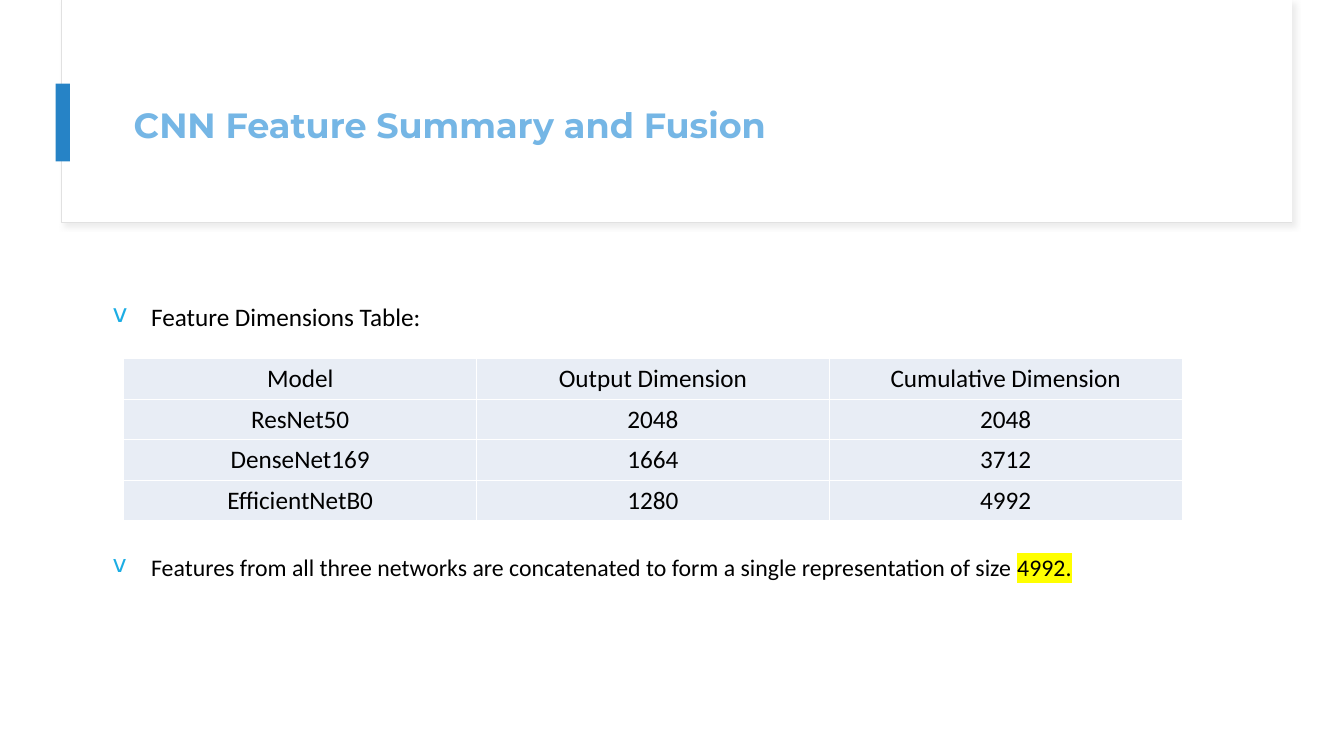
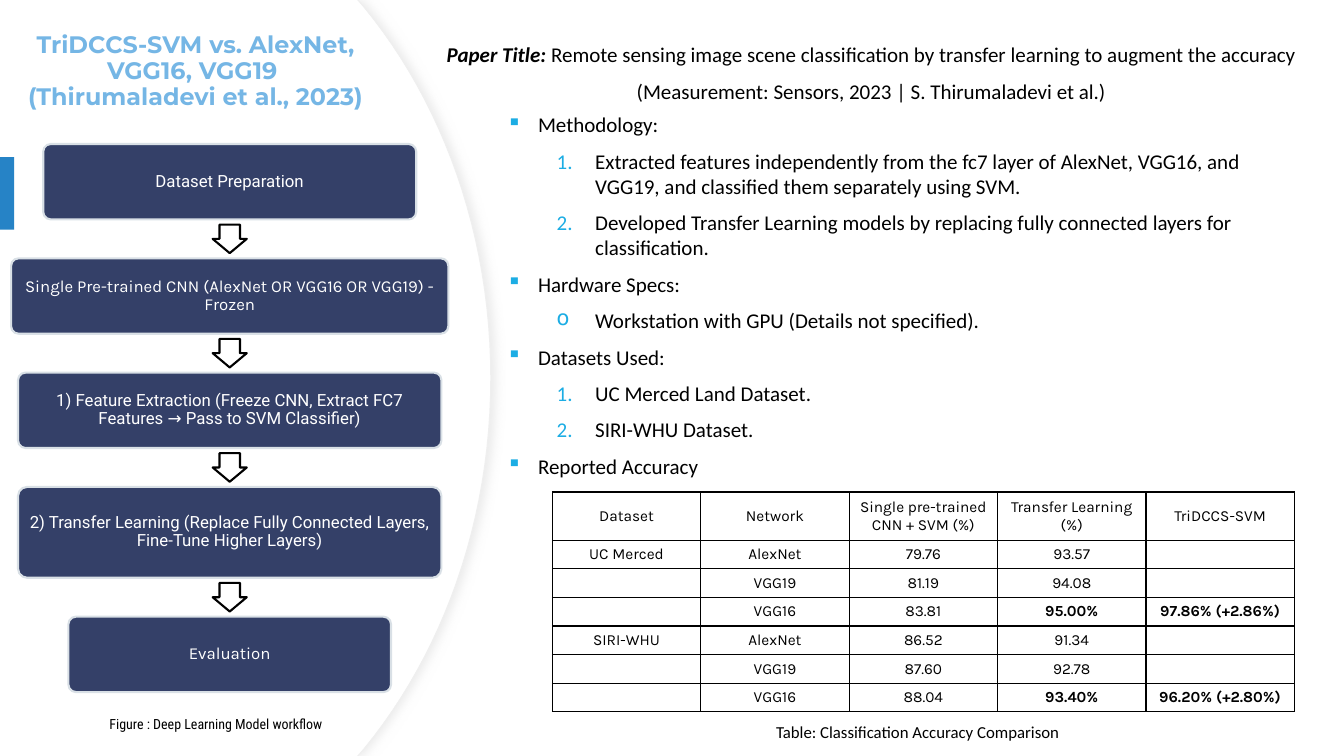
from lxml import etree
from pptx import Presentation
from pptx import util as u
from pptx.dml.color import RGBColor
from pptx.enum import shapes, text
from pptx.oxml.ns import qn

Cm, Pt = u.Cm, u.Pt
HUES = {"white": "FFFFFF", "black": "000000", "title": "75B6E5", "bar": "2683C6",
        "mark": "1CADE4", "cell": "E8EDF5", "navy": "344068", "rim": "D9E0E6",
        "frame": "E1E1E1", "curve": "EFEFEF", "shade": "D9D9D9", "glow": "FFFF00"}
TALL = 19.05
MID, LEFT = text.PP_ALIGN.CENTER, text.PP_ALIGN.LEFT
CORE, TOP = text.MSO_ANCHOR.MIDDLE, text.MSO_ANCHOR.TOP
KIND = shapes.MSO_SHAPE


def say(para, runs, size, face, hue="black"):
    for words, style in runs:
        run = para.add_run()
        run.text = words
        font = run.font
        font.size = Pt(size)
        font.color.rgb = RGBColor.from_string(HUES[hue])
        font.name = face
        font.bold = "b" in style
        font.italic = "i" in style
        if "h" in style:
            glow = etree.Element(qn("a:highlight"))
            etree.SubElement(glow, qn("a:srgbClr"), val=HUES["glow"])
            run._r.rPr.find(qn("a:solidFill")).addnext(glow)


def dress(shape, fill, line=None, width=0.75, shade=None):
    shape.shadow.inherit = False
    shape.fill.solid()
    shape.fill.fore_color.rgb = RGBColor.from_string(HUES[fill])
    if line:
        shape.line.color.rgb = RGBColor.from_string(HUES[line])
        shape.line.width = Pt(width)
    else:
        shape.line.fill.background()
    if shade:
        blur, dist, turn = shade
        outer = etree.SubElement(shape._element.spPr.find(qn("a:effectLst")), qn("a:outerShdw"),
                                 blurRad=str(Pt(blur)), dist=str(Pt(dist)), dir=str(turn * 60000))
        tint = etree.SubElement(outer, qn("a:srgbClr"), val=HUES["shade"])
        etree.SubElement(tint, qn("a:alpha"), val="50000")


deck = Presentation()
deck.slide_width, deck.slide_height = Cm(33.87), Cm(TALL)
fuse, duel = [deck.slides.add_slide(deck.slide_layouts[6]) for _ in range(2)]

for spot, style in [((1.55, 0, 31.01, 5.61), ("white", "frame", 0.75, (4, 3, 45))),
                    ((1.57, 0, 30.99, 5.59), ("white",))]:
    dress(fuse.shapes.add_shape(KIND.RECTANGLE, *map(Cm, spot)), *style)

knots = [(9.19, 0.2), (11.15, 2.59), (12.37, 5.89), (12.37, 9.53)]
arc = []
for step in range(25):
    t = step / 24
    parts = ((1 - t) ** 3, 3 * t * (1 - t) ** 2, 3 * t * t * (1 - t), t ** 3)
    arc.append(tuple(sum(p * k[axis] for p, k in zip(parts, knots)) for axis in (0, 1)))
edge = [(9.02, 0)] + arc
edge += [(x, TALL - y) for x, y in reversed(edge)] + [(0, TALL)]
for trim, style in [(0, ("white", "curve", 0.75, (7, 3, 0))), (0.03, ("white",))]:
    path = duel.shapes.build_freeform(0, 0, scale=1.0)
    path.add_line_segments([(Cm(max(x - trim, 0)), Cm(y)) for x, y in edge], close=True)
    dress(path.convert_to_shape(), *style)

for slide, spot in [(fuse, (1.4, 2.11, 0.36, 1.96)), (duel, (0, 3.96, 0.36, 1.83))]:
    dress(slide.shapes.add_shape(KIND.RECTANGLE, *map(Cm, spot)), "bar")

flow = [
    (9.4, 1.9, "Roboto", "Dataset Preparation"),
    (11.02, 1.9, "Karla", "Single Pre-trained CNN (AlexNet OR VGG16 OR VGG19) - Frozen"),
    (10.67, 1.9, "Roboto", "1) Feature Extraction (Freeze CNN, Extract FC7 Features → Pass to SVM Classifier)"),
    (10.67, 2.29, "Roboto", "2) Transfer Learning (Replace Fully Connected Layers, Fine-Tune Higher Layers)"),
    (8.13, 1.9, "Karla", "Evaluation"),
]
axis, gap, y = 5.79, 0.98, 3.63
for wide, high, face, words in flow:
    if y > 3.63:
        arrow = duel.shapes.add_shape(KIND.DOWN_ARROW, Cm(axis - 0.43), Cm(y - gap + 0.13),
                                      Cm(0.86), Cm(0.72))
        arrow.adjustments[0], arrow.adjustments[1] = 0.6, 0.5
        dress(arrow, "white", "black", 1.5)
    stage = duel.shapes.add_shape(KIND.ROUNDED_RECTANGLE, Cm(axis - wide / 2), Cm(y), Cm(wide), Cm(high))
    stage.adjustments[0] = 0.1
    dress(stage, "navy", "rim", 1.5)
    frame = stage.text_frame
    frame.word_wrap = True
    frame.vertical_anchor = CORE
    frame.margin_left = frame.margin_right = frame.margin_top = frame.margin_bottom = Cm(0.18)
    para = frame.paragraphs[0]
    para.alignment = MID
    para.line_spacing = 0.9
    say(para, [(words, "")], 12, face, "white")
    y += high + gap

HEAD = (25, "Montserrat", "title")
marks = {"v": (0, 0.97, -0.97), "▪": (0, 0.79, -0.79), "o": (1, 2.23, -0.97), "1.": (1, 2.23, -0.97)}
notes = [
    (fuse, (3.12, 1.57, 28.24, 3.28), CORE, 0.25, LEFT, 0.9, 6, HEAD,
     [("", [("CNN Feature Summary and Fusion", "b")])]),
    (fuse, (2.84, 7.39, 27.74, 1.27), CORE, 0, LEFT, 0.9, 8, (18, "Calibri"),
     [("v", [("Feature Dimensions Table:", "")])]),
    (fuse, (2.84, 13.69, 27.74, 1.27), CORE, 0, LEFT, 0.9, 8, (17, "Calibri"),
     [("v", [("Features from all three networks are concatenated to form a single "
              "representation of size ", ""), ("4992.", "h")])]),
    (duel, (0, 0.3, 9.86, 3.02), CORE, 0.25, MID, 0.9, 6, (17,) + HEAD[1:],
     [("", [("TriDCCS-SVM vs. AlexNet, VGG16, VGG19 \v(Thirumaladevi et al., 2023)", "b")])]),
    (duel, (1.63, 17.91, 7.62, 0.69), TOP, 0.25, MID, 1.0, 0, (10, "Roboto Condensed"),
     [("", [("Figure : Deep Learning Model workflow", "")])]),
    (duel, (10.49, 0.61, 22.94, 2.44), CORE, 0, MID, 1.0, 8, (15, "Calibri"),
     [("", [("Paper Title: ", "bi"),
            ("Remote sensing image scene classification by transfer learning to augment the accuracy", "")]),
      ("", [("(Measurement: Sensors, 2023 | S. Thirumaladevi et al.)", "")])]),
    (duel, (12.52, 2.69, 19.51, 9.6), TOP, 0.25, LEFT, 1.0, 8, (15, "Calibri"),
     [("▪", [("Methodology:", "")]),
      ("1.", [("Extracted features independently from the fc7 layer of AlexNet, VGG16, and VGG19, "
               "and classified them separately using SVM.", "")]),
      ("1.", [("Developed Transfer Learning models by replacing fully connected layers for "
               "classification.", "")]),
      ("▪", [("Hardware Specs:", "")]),
      ("o", [("Workstation with GPU (Details not specified).", "")]),
      ("▪", [("Datasets Used:", "")]),
      ("1.", [("UC Merced Land Dataset.", "")]),
      ("1.", [("SIRI-WHU Dataset.", "")]),
      ("▪", [("Reported Accuracy", "")])]),
    (duel, (17.2, 18.06, 11.86, 0.76), TOP, 0.25, MID, 1.0, 0, (12, "Calibri"),
     [("", [("Table: Classification Accuracy Comparison", "")])]),
]
for slide, spot, anchor, pad, align, lead, after, look, lines in notes:
    frame = slide.shapes.add_textbox(*map(Cm, spot)).text_frame
    frame.word_wrap = True
    frame.vertical_anchor = anchor
    frame.margin_left = frame.margin_right = Cm(pad)
    for row, (mark, runs) in enumerate(lines):
        para = frame.add_paragraph() if row else frame.paragraphs[0]
        para.alignment = align
        para.line_spacing = lead
        para.space_after = Pt(after)
        if mark:
            level, margin, hang = marks[mark]
            para.level = level
            props = para._p.get_or_add_pPr()
            props.set("marL", str(Cm(margin)))
            props.set("indent", str(Cm(hang)))
            tint = etree.SubElement(props, qn("a:buClr"))
            etree.SubElement(tint, qn("a:srgbClr"), val=HUES["mark"])
            if mark == "1.":
                etree.SubElement(props, qn("a:buAutoNum"), type="arabicPeriod")
            else:
                etree.SubElement(props, qn("a:buChar"), char=mark)
        for words, style in runs:
            for part, piece in enumerate(words.split("\v")):
                if part:
                    para.add_line_break()
                say(para, [(piece, style)], *look)

sizes = [("Model", "Output Dimension", "Cumulative Dimension"),
         ("ResNet50", "2048", "2048"),
         ("DenseNet169", "1664", "3712"),
         ("EfficientNetB0", "1280", "4992")]
scores = [("Dataset", "Network", "Single pre-trained CNN + SVM (%)", "Transfer Learning (%)", "TriDCCS-SVM"),
          ("UC Merced", "AlexNet", "79.76", "93.57", ""),
          ("", "VGG19", "81.19", "94.08", ""),
          ("", "VGG16", "83.81", "95.00%", "97.86% (+2.86%)"),
          ("SIRI-WHU", "AlexNet", "86.52", "91.34", ""),
          ("", "VGG19", "87.60", "92.78", ""),
          ("", "VGG16", "88.04", "93.40%", "96.20% (+2.80%)")]
grids = [(fuse, sizes, (3.12, 9.04), 8.89, 1.02, 1.02, 18, "Calibri", "white", "cell"),
         (duel, scores, (13.92, 12.4), 3.74, 1.21, 0.72, 11, "Karla", "black", None)]
for slide, data, (x, y), wide, first, high, size, face, rule, fill in grids:
    count = len(data[0])
    table = slide.shapes.add_table(len(data), count, Cm(x), Cm(y), Cm(wide * count),
                                   Cm(first + high * (len(data) - 1))).table
    table.first_row = table.horz_banding = False
    for col in table.columns:
        col.width = Cm(wide)
    for r, items in enumerate(data):
        table.rows[r].height = Cm(high if r else first)
        for c, words in enumerate(items):
            cell = table.cell(r, c)
            cell.vertical_anchor = CORE
            para = cell.text_frame.paragraphs[0]
            para.alignment = MID
            if words:
                bold = words[0].isdigit() and "%" in words
                say(para, [(words, "b" if bold else "")], size, face)
            else:
                etree.SubElement(para._p, qn("a:endParaRPr"), sz=str(size * 100))
            for side in ("lnL", "lnR", "lnT", "lnB"):
                line = etree.SubElement(cell._tc.get_or_add_tcPr(), qn("a:" + side), w=str(Pt(1)))
                ink = etree.SubElement(line, qn("a:solidFill"))
                etree.SubElement(ink, qn("a:srgbClr"), val=HUES[rule])
            if fill:
                cell.fill.solid()
                cell.fill.fore_color.rgb = RGBColor.from_string(HUES[fill])
            else:
                cell.fill.background()

deck.save("out.pptx")
